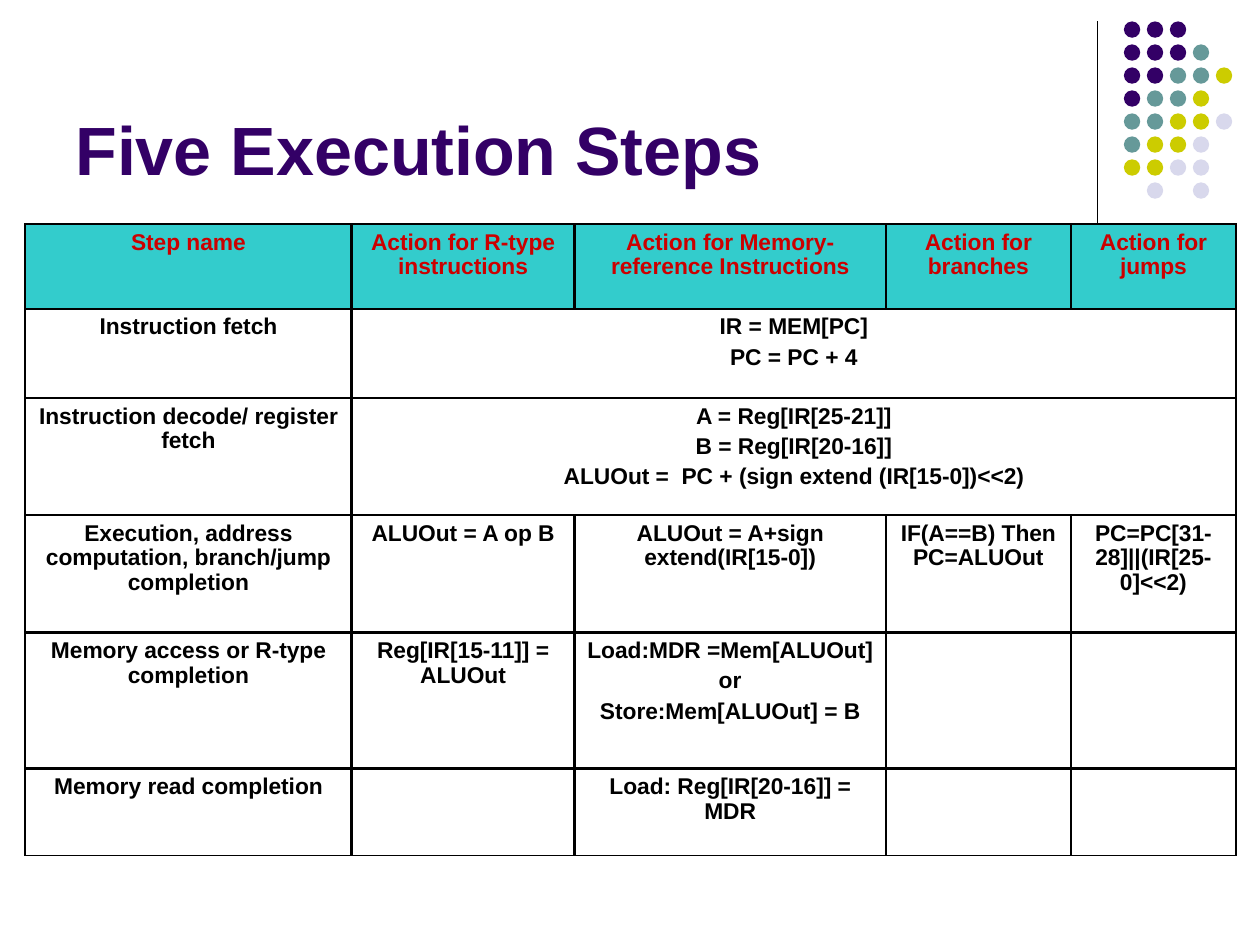
"""Build the slide listing the five execution steps of a processor."""
import pptx
import pptx.dml.color
import pptx.enum.shapes
import pptx.enum.text
import pptx.oxml
import pptx.oxml.ns
import pptx.util
from lxml import etree

RGBColor = pptx.dml.color.RGBColor
PURPLE = RGBColor(0x33, 0x00, 0x66)
TEAL = RGBColor(0x66, 0x99, 0x99)
OLIVE = RGBColor(0xCC, 0xCC, 0x00)
LAVENDER = RGBColor(0xD8, 0xD8, 0xEC)
TURQUOISE = RGBColor(0x33, 0xCC, 0xCC)
RED = RGBColor(0xCC, 0x00, 0x00)
BLACK = RGBColor(0x00, 0x00, 0x00)

FONT = "Arial"
DOT_COLORS = {"P": PURPLE, "T": TEAL, "O": OLIVE, "L": LAVENDER}
DOT_ROWS = ["PPP", "PPPT", "PPTTO", "PTTO", "TTOOL", "TOOL", "OOLL", " L L"]
DOT_LEFT, DOT_TOP, DOT_SIZE = 8.92, 0.17, 0.13
DOT_PITCH = 0.73 / 4

COLUMN_WIDTHS = [2.59, 1.77, 2.47, 1.47, 1.31]
ROW_HEIGHTS = [0.67, 0.71, 0.93, 0.93, 1.08, 0.69]
INNER_BORDER, OUTER_BORDER = 1.47, 1.08
STEPS = [
    ["Step name", "Action for R-type instructions",
     "Action for Memory-reference Instructions", "Action for branches", "Action for jumps"],
    ["Instruction fetch", "IR = MEM[PC]\nPC = PC + 4"],
    ["Instruction decode/ register fetch",
     "A = Reg[IR[25-21]]\nB = Reg[IR[20-16]]\nALUOut =  PC + (sign extend (IR[15-0])<<2)"],
    ["Execution, address computation, branch/jump completion", "ALUOut = A op B",
     "ALUOut = A+sign extend(IR[15-0])", "IF(A==B) Then PC=ALUOut",
     "PC=PC[31-28]||(IR[25-0]<<2)"],
    ["Memory access or R-type completion", "Reg[IR[15-11]] = ALUOut",
     "Load:MDR =Mem[ALUOut]\nor\nStore:Mem[ALUOut] = B", "", ""],
    ["Memory read completion", "", "Load: Reg[IR[20-16]] = MDR", "", ""],
]


def inches(*lengths):
    """Convert lengths in inches to slide units."""
    return [pptx.util.Inches(length) for length in lengths]


def style_paragraph(paragraph, size, color):
    """Give a paragraph the bold font of the slide."""
    paragraph.font.name = FONT
    paragraph.font.size = pptx.util.Pt(size)
    paragraph.font.bold = True
    paragraph.font.color.rgb = color


def add_rule(slide):
    """Draw the vertical rule beside the dots."""
    rule = slide.shapes.add_connector(
        pptx.enum.shapes.MSO_CONNECTOR.STRAIGHT, *inches(8.71, 0.17, 8.71, 1.83))
    rule.line.color.rgb = BLACK
    rule.line.width = pptx.util.Pt(0.75)
    etree.SubElement(rule._element.spPr, pptx.oxml.ns.qn("a:effectLst"))


def add_dots(slide):
    """Draw the grid of coloured dots."""
    for row, letters in enumerate(DOT_ROWS):
        for column, letter in enumerate(letters):
            if letter not in DOT_COLORS:
                continue
            dot = slide.shapes.add_shape(
                pptx.enum.shapes.MSO_SHAPE.OVAL,
                *inches(DOT_LEFT + column * DOT_PITCH, DOT_TOP + row * DOT_PITCH,
                        DOT_SIZE, DOT_SIZE))
            dot.shadow.inherit = False
            dot.fill.solid()
            dot.fill.fore_color.rgb = DOT_COLORS[letter]
            dot.line.fill.background()


def add_title(slide, wording):
    """Write the slide title."""
    title = slide.shapes.add_textbox(*inches(0.5, 0.13, 8.25, 1.42)).text_frame
    title.word_wrap = True
    title.vertical_anchor = pptx.enum.text.MSO_ANCHOR.BOTTOM
    title.text = wording
    style_paragraph(title.paragraphs[0], 39, PURPLE)


def set_borders(cell, row, column):
    """Line the four sides of a cell, thinner along the table's outer edge."""
    at_edge = {
        "L": row > 0 and column == 0,
        "R": row > 0 and column + cell.span_width == len(COLUMN_WIDTHS),
        "T": False,
        "B": row == len(ROW_HEIGHTS) - 1,
    }
    properties = cell._tc.get_or_add_tcPr()
    for side, outer in at_edge.items():
        width = pptx.util.Pt(OUTER_BORDER if outer else INNER_BORDER)
        properties.append(pptx.oxml.parse_xml(
            f'<a:ln{side} {pptx.oxml.ns.nsdecls("a")} w="{width}"><a:solidFill>'
            f'<a:srgbClr val="{BLACK}"/></a:solidFill></a:ln{side}>'))


def fill_cell(cell, wording, row, column):
    """Write and format one table cell."""
    set_borders(cell, row, column)
    if row == 0:
        cell.fill.solid()
        cell.fill.fore_color.rgb = TURQUOISE
    else:
        cell.fill.background()
    cell.margin_left = cell.margin_right = pptx.util.Inches(0.07)
    cell.margin_top = cell.margin_bottom = pptx.util.Inches(0.05)
    cell.text = wording
    for paragraph in cell.text_frame.paragraphs:
        paragraph.alignment = pptx.enum.text.PP_ALIGN.CENTER
        paragraph.space_before = pptx.util.Pt(3.3)
        paragraph.line_spacing = 0.97
        style_paragraph(paragraph, 13, RED if row == 0 else BLACK)


def add_steps_table(slide):
    """Add the table of steps, with shared actions spanning all instruction types."""
    steps = slide.shapes.add_table(
        len(ROW_HEIGHTS), len(COLUMN_WIDTHS),
        *inches(0.2, 1.78, sum(COLUMN_WIDTHS), sum(ROW_HEIGHTS))).table
    steps.first_row = steps.horz_banding = False
    for column, width in zip(steps.columns, COLUMN_WIDTHS):
        column.width = pptx.util.Inches(width)
    for row, height in zip(steps.rows, ROW_HEIGHTS):
        row.height = pptx.util.Inches(height)
    for row, wordings in enumerate(STEPS):
        if len(wordings) == 2:
            steps.cell(row, 1).merge(steps.cell(row, len(COLUMN_WIDTHS) - 1))
        for column, wording in enumerate(wordings):
            fill_cell(steps.cell(row, column), wording, row, column)


def main():
    """Build and save the presentation."""
    presentation = pptx.Presentation()
    presentation.slide_width, presentation.slide_height = inches(10, 7.5)
    slide = presentation.slides.add_slide(presentation.slide_layouts[6])
    add_rule(slide)
    add_dots(slide)
    add_title(slide, "Five Execution Steps")
    add_steps_table(slide)
    presentation.save("out.pptx")


if __name__ == "__main__":
    main()
